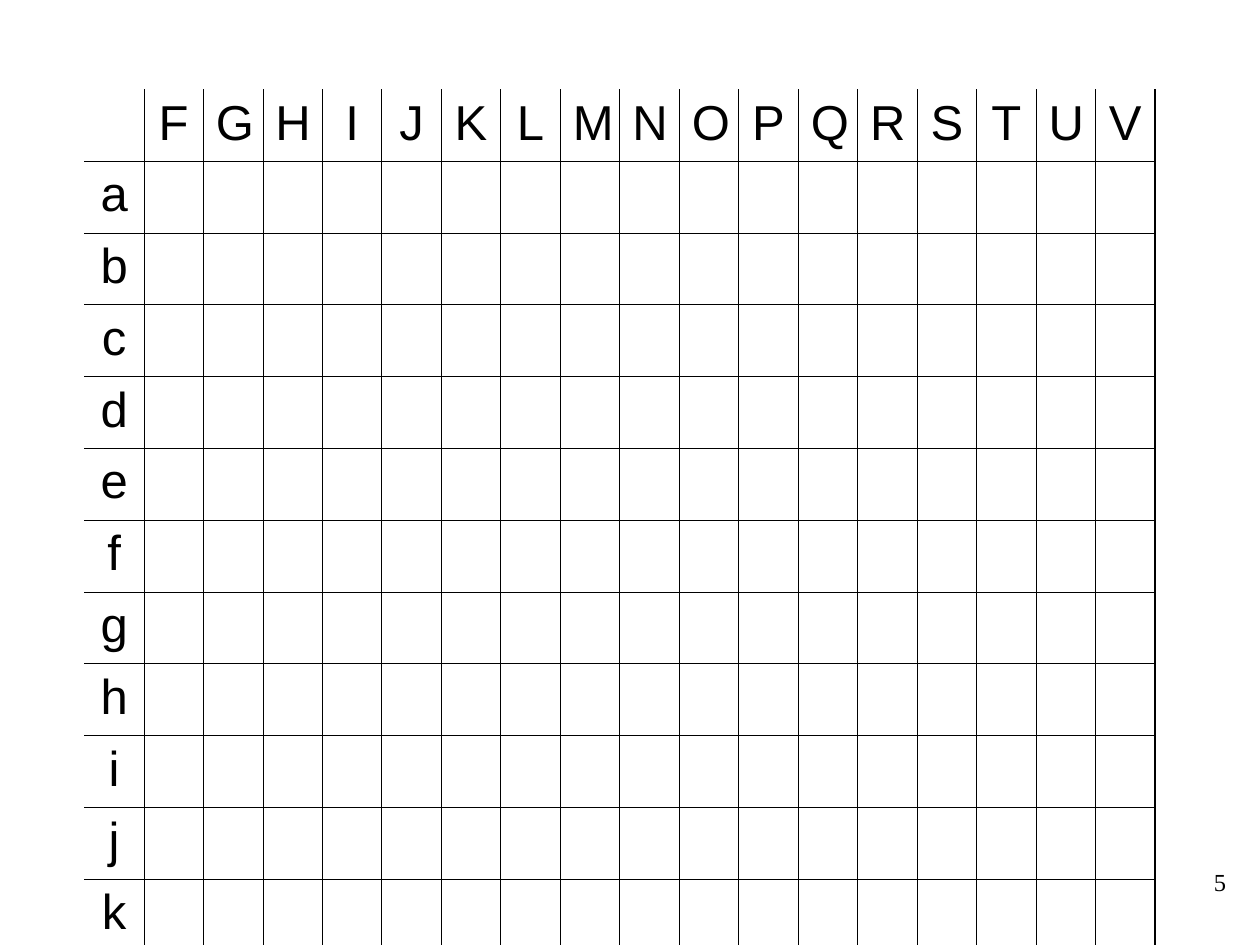
from pptx import Presentation
from pptx.dml.color import RGBColor
from pptx.enum.text import PP_ALIGN
from pptx.oxml.ns import qn
from pptx.util import Inches, Pt
from lxml import etree

CENTER = PP_ALIGN.CENTER
RIGHT = PP_ALIGN.RIGHT
COLUMN_LABELS = "FGHIJKLMNOPQRSTUV"
ROW_LABELS = "abcdefghijk"


def rgb(value):
    return RGBColor.from_string(value)


class SlideBuilder:
    ink = "000000"
    thin = 0.45
    thick = 1.08

    def __init__(self, slide):
        self.s = slide

    def add_run(self, tf, text, font, size, align):
        p = tf.paragraphs[0]
        p.alignment = align
        r = p.add_run()
        r.text = text
        r.font.name = font
        r.font.size = Pt(size)
        r.font.color.rgb = rgb(self.ink)

    def border(self, cell, side, width):
        tc_pr = cell._tc.get_or_add_tcPr()
        ln = etree.SubElement(tc_pr, qn(f"a:ln{side}"))
        if not width:
            etree.SubElement(ln, qn("a:noFill"))
            return
        ln.set("w", str(Pt(width)))
        fill = etree.SubElement(ln, qn("a:solidFill"))
        etree.SubElement(fill, qn("a:srgbClr"), val=self.ink)

    def grid(self, x, y, w, row_height, columns, rows):
        n_rows, n_cols = len(rows) + 1, len(columns) + 1
        frame = self.s.shapes.add_table(
            n_rows, n_cols, Inches(x), Inches(y),
            Inches(w), Inches(row_height * n_rows))
        table = frame.table
        table.first_row = False
        table.horz_banding = False
        for column in table.columns:
            column.width = Inches(w / n_cols)
        for i, row in enumerate(table.rows):
            row.height = Inches(row_height)
            for j, cell in enumerate(row.cells):
                self.border(cell, "L", self.thin if j else 0)
                self.border(cell, "R", self.thick if j == n_cols - 1 else self.thin)
                self.border(cell, "T", self.thin if i else 0)
                self.border(cell, "B", self.thick if i == n_rows - 1 else self.thin)
                cell.fill.background()
        for j, label in enumerate(columns, 1):
            self.add_run(table.cell(0, j).text_frame, label, "Arial", 28, CENTER)
        for i, label in enumerate(rows, 1):
            self.add_run(table.cell(i, 0).text_frame, label, "Arial", 28, CENTER)

    def text(self, x, y, w, h, text, font, size, align):
        sp = self.s.shapes.add_textbox(Inches(x), Inches(y), Inches(w), Inches(h))
        tf = sp.text_frame
        tf.word_wrap = True
        self.add_run(tf, text, font, size, align)


def main():
    prs = Presentation()
    prs.slide_width = Inches(10)
    prs.slide_height = Inches(7.5)
    builder = SlideBuilder(prs.slides.add_slide(prs.slide_layouts[6]))
    builder.grid(0.67, 0.71, 8.5, 0.57, COLUMN_LABELS, ROW_LABELS)
    builder.text(7.75, 6.83, 2.08, 0.5, "5", "Times New Roman", 14, RIGHT)
    prs.save("out.pptx")


if __name__ == "__main__":
    main()
